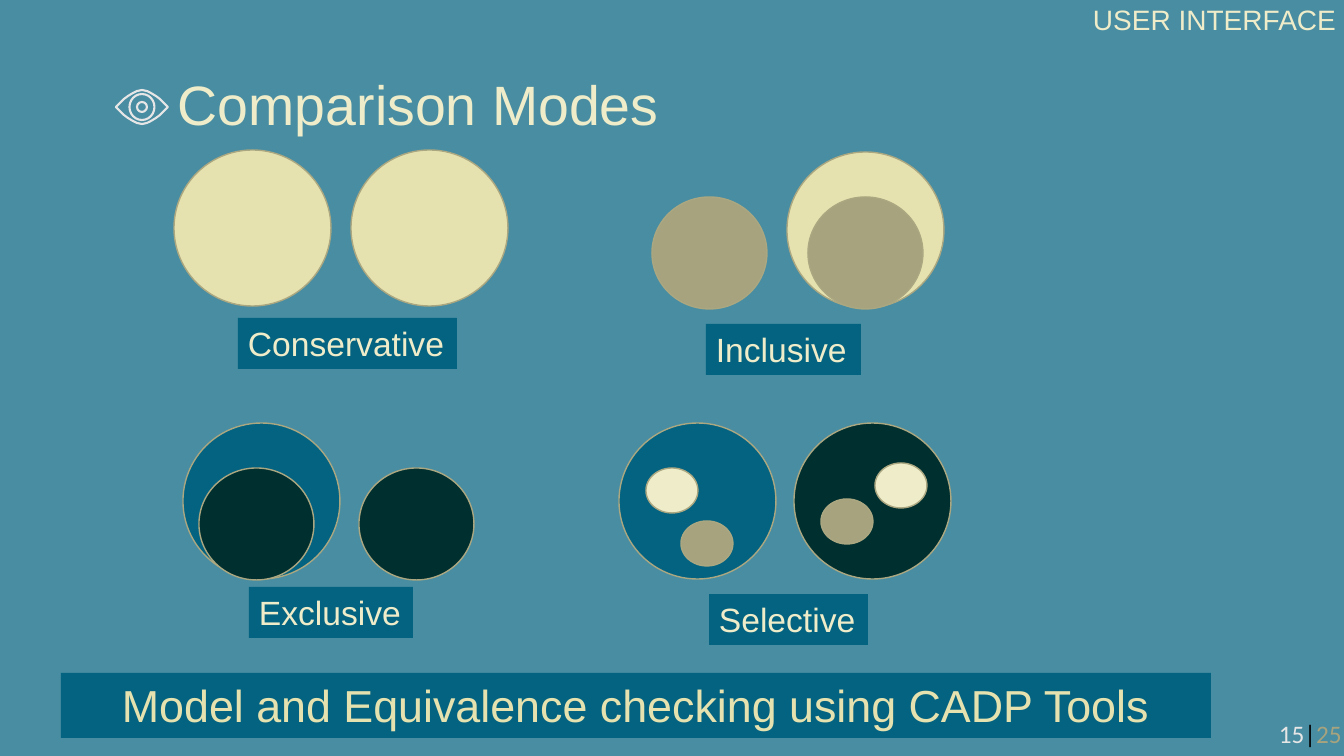
from pptx import Presentation
from pptx.dml import color
from pptx.enum import shapes, text
from pptx.util import Pt

PX = 914400 / 100.8
WIDE, HIGH = 1344, 756
BACK, BLUE, DARK = "488DA2", "046380", "002F2F"
SAND, CREAM, PALE = "E6E2AF", "EFECCA", "E7E6E6"
TAN, EDGE = "A7A37E", "AAA781"

# (width, height), then left, top, fill of each circle
CIRCLES = [
    ((157, 156), [(174, 150, SAND), (351, 150, SAND), (787, 152, SAND),
                  (183, 423, BLUE), (619, 423, BLUE), (794, 423, DARK)]),
    ((115, 112), [(652, 197, TAN), (808, 197, TAN),
                  (199, 468, DARK), (359, 468, DARK)]),
    ((52, 45), [(646, 468, CREAM), (681, 521, TAN),
                (875, 463, CREAM), (821, 499, TAN)]),
]
LABELS = [
    ("Conservative", 238, 318, 219),
    ("Inclusive", 706, 324, 155),
    ("Exclusive", 249, 587, 164),
    ("Selective", 709, 594, 159),
]
TITLE = [("Comparison Modes", CREAM)]
HEADER = [("USER INTERFACE", CREAM)]
BANNER = [("Model and Equivalence checking using CADP Tools", SAND)]
PAGE = [("15", PALE), ("|", "000000"), ("25", TAN)]

EYE = (142, 107)
LID = [(0, -17), (5, -16), (9, -14), (14, -11), (18, -8), (21, -5), (26, 0)]
RINGS = [(10, 10), (25, 26)]


def rgb(code):
    return color.RGBColor.from_string(code)


def px(*nums):
    return [round(n * PX) for n in nums]


def paint(shape, fill=None, line=None, width=1):
    shape.shadow.inherit = False
    if fill:
        shape.fill.solid()
        shape.fill.fore_color.rgb = rgb(fill)
    else:
        shape.fill.background()
    if line:
        shape.line.color.rgb = rgb(line)
        shape.line.width = Pt(width)
    else:
        shape.line.fill.background()


def write(shape, parts, size, font="Arial", mid=False, center=False, space=None):
    """Fill a shape with one line of (words, colour) parts."""
    frame = shape.text_frame
    frame.word_wrap = False
    anchor = text.MSO_ANCHOR
    frame.vertical_anchor = anchor.MIDDLE if mid else anchor.TOP
    para = frame.paragraphs[0]
    para.alignment = text.PP_ALIGN.CENTER if center else text.PP_ALIGN.LEFT
    if space:
        para.line_spacing = space
    for words, hue in parts:
        run = para.add_run()
        run.text = words
        run.font.name = font
        run.font.size = Pt(size)
        run.font.color.rgb = rgb(hue)


def draw_eye(parts):
    cx, cy = EYE
    right = LID + [(x, -y) for x, y in LID[-2::-1]]
    left = [(-x, -y) for x, y in right[1:-1]]
    (x, y), *rest = [(cx + dx, cy + dy) for dx, dy in right + left]
    form = parts.build_freeform(x, y, PX)
    form.add_line_segments(rest, close=True)
    paint(form.convert_to_shape(), line=PALE, width=1.5)
    for w, h in RINGS:
        ring = parts.add_shape(shapes.MSO_SHAPE.OVAL,
                               *px(cx - w / 2, cy - h / 2, w, h))
        paint(ring, line=PALE, width=1.5)


def main():
    deck = Presentation()
    deck.slide_width, deck.slide_height = px(WIDE, HIGH)
    slide = deck.slides.add_slide(deck.slide_layouts[6])
    slide.background.fill.solid()
    slide.background.fill.fore_color.rgb = rgb(BACK)
    parts = slide.shapes

    title = parts.add_textbox(*px(168, 73, 565, 69))
    write(title, TITLE, 39.6, mid=True, space=0.9)

    for (w, h), spots in CIRCLES:
        for x, y, fill in spots:
            oval = parts.add_shape(shapes.MSO_SHAPE.OVAL, *px(x, y, w, h))
            paint(oval, fill, EDGE)

    for name, x, y, w in LABELS:
        label = parts.add_shape(shapes.MSO_SHAPE.RECTANGLE, *px(x, y, w, 51))
        paint(label, BLUE)
        write(label, [(name, CREAM)], 24)

    draw_eye(parts)

    page = parts.add_textbox(*px(1269, 713, 87, 40))
    write(page, PAGE, 18, font="Calibri")
    header = parts.add_textbox(*px(1083, 0, 266, 43))
    write(header, HEADER, 20, mid=True, space=0.9)

    banner = parts.add_shape(shapes.MSO_SHAPE.RECTANGLE, *px(61, 673, 1150, 65))
    paint(banner, BLUE)
    write(banner, BANNER, 32, center=True)

    deck.save("out.pptx")


if __name__ == "__main__":
    main()
